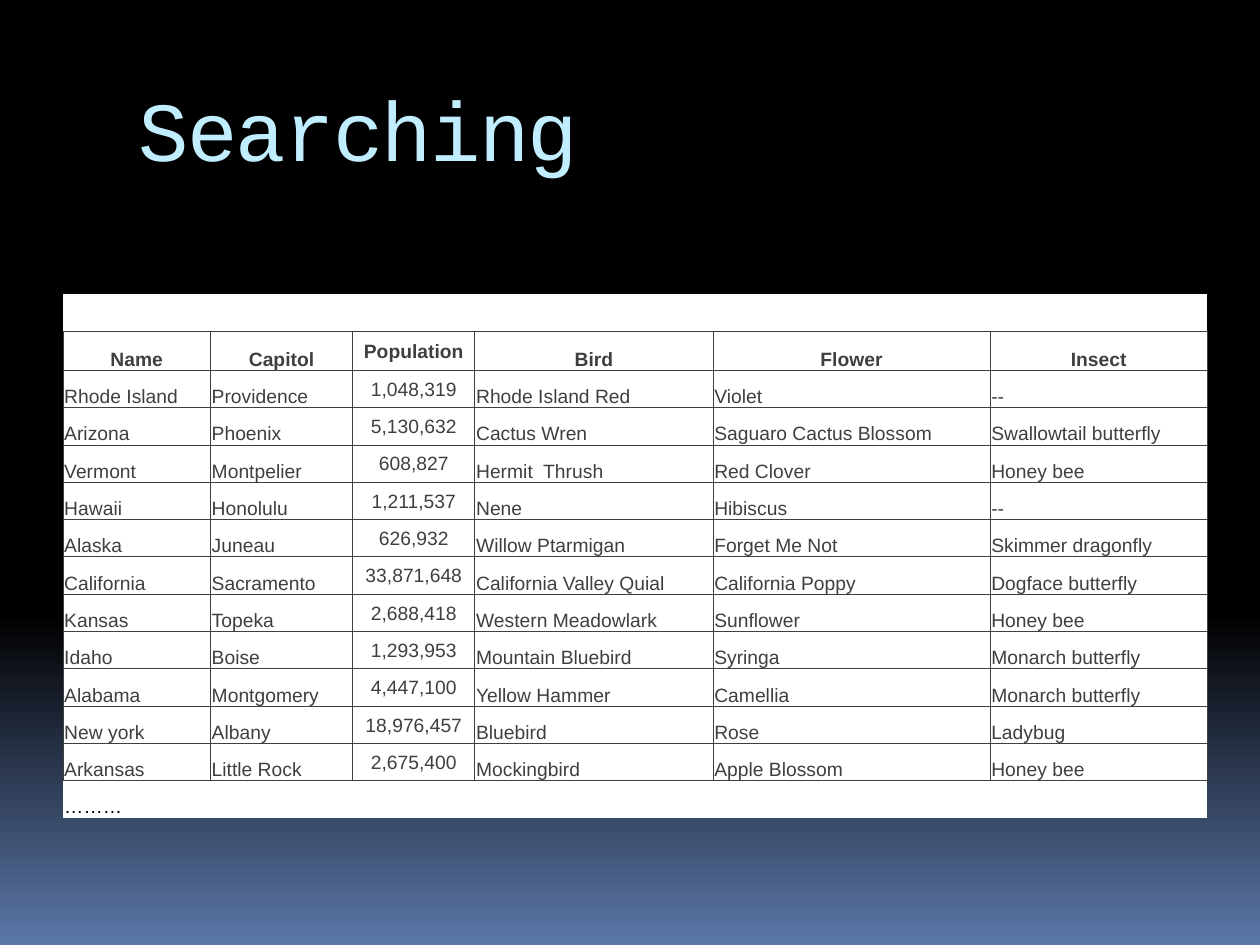
"""Builds the Searching slide with its table of state facts."""
from copy import deepcopy

from pptx import Presentation
from pptx.dml.color import RGBColor
from pptx.enum.shapes import MSO_SHAPE as Shape
from pptx.enum.text import MSO_ANCHOR as Anchor, PP_ALIGN as Align
from pptx.oxml.ns import qn
from pptx.oxml.xmlchemy import OxmlElement
from pptx.util import Pt

COLORS = {
    "black": "000000",
    "blue": "5B77A8",
    "title": "C1EEFF",
    "text": "3F3F3F",
    "white": "FFFFFF",
}
ACCENT_BARS = [(24.3, 3.6), (21, 2), (19.2, 0.7), (17.2, 0.7)]
COLUMN_WIDTHS = [84.3, 81.3, 69.8, 136.1, 158.3, 124.2]
ROW_HEIGHT = 21.34
HEADER_HEIGHT = 22.3
POPULATION = 2
ROWS = [
    [""] * 6,
    ["Name", "Capitol", "Population", "Bird", "Flower", "Insect"],
    ["Rhode Island", "Providence", "1,048,319", "Rhode Island Red", "Violet", "--"],
    ["Arizona", "Phoenix", "5,130,632", "Cactus Wren", "Saguaro Cactus Blossom", "Swallowtail butterfly"],
    ["Vermont", "Montpelier", "608,827", "Hermit  Thrush", "Red Clover", "Honey bee"],
    ["Hawaii", "Honolulu", "1,211,537", "Nene", "Hibiscus", "--"],
    ["Alaska", "Juneau", "626,932", "Willow Ptarmigan", "Forget Me Not", "Skimmer dragonfly"],
    ["California", "Sacramento", "33,871,648", "California Valley Quial", "California Poppy", "Dogface butterfly"],
    ["Kansas", "Topeka", "2,688,418", "Western Meadowlark", "Sunflower", "Honey bee"],
    ["Idaho", "Boise", "1,293,953", "Mountain Bluebird", "Syringa", "Monarch butterfly"],
    ["Alabama", "Montgomery", "4,447,100", "Yellow Hammer", "Camellia", "Monarch butterfly"],
    ["New york", "Albany", "18,976,457", "Bluebird", "Rose", "Ladybug"],
    ["Arkansas", "Little Rock", "2,675,400", "Mockingbird", "Apple Blossom", "Honey bee"],
    ["………"] + [""] * 5,
]


def write_text(frame, text, *, font, size, color, bold=False, align=Align.LEFT, spacing=0):
    paragraph = frame.paragraphs[0]
    paragraph.alignment = align
    if not text:
        end = OxmlElement("a:endParaRPr")
        end.set("sz", str(size * 100))
        paragraph._p.append(end)
        return
    run = paragraph.add_run()
    run.text = text
    run.font.name = font
    run.font.size = Pt(size)
    run.font.bold = bold
    run.font.color.rgb = RGBColor.from_string(COLORS[color])
    if spacing:
        run.font._element.set("spc", str(spacing * 100))


def set_borders(cell, visible_sides):
    properties = cell._tc.get_or_add_tcPr()
    for position, side in enumerate("LRTB"):
        line = OxmlElement(f"a:ln{side}")
        line.set("w", str(Pt(0.5)))
        if side in visible_sides:
            fill = OxmlElement("a:solidFill")
            color = OxmlElement("a:srgbClr")
            color.set("val", COLORS["text"])
            fill.append(color)
        else:
            fill = OxmlElement("a:noFill")
        line.append(fill)
        properties.insert(position, line)


presentation = Presentation()
presentation.slide_width = Pt(720)
presentation.slide_height = Pt(540)
slide = presentation.slides.add_slide(presentation.slide_layouts[5])

background = slide.background.fill
background.gradient()
background.gradient_angle = 270
stop_list = slide._element.find(".//" + qn("a:gsLst"))
stop_list.insert(1, deepcopy(stop_list[0]))
stops = [(0, "black"), (0.65, "black"), (1, "blue")]
for stop, (position, color) in zip(background.gradient_stops, stops):
    stop.position = position
    stop.color.rgb = RGBColor.from_string(COLORS[color])

for left, width in ACCENT_BARS:
    bar = slide.shapes.add_shape(Shape.RECTANGLE, Pt(left), Pt(53.5), Pt(width), Pt(28.8))
    bar.shadow.inherit = False
    bar.fill.solid()
    bar.fill.fore_color.rgb = RGBColor.from_string(COLORS["black"])
    bar.line.fill.background()

title = slide.shapes.title
title.left, title.top, title.width, title.height = Pt(72), Pt(40.3), Pt(612), Pt(72)
title.text_frame.vertical_anchor = Anchor.MIDDLE
title.text_frame.margin_bottom = Pt(10.4)
write_text(title.text_frame, "Searching", font="Courier New", size=48, color="title", spacing=-1)

last_row = len(ROWS) - 1
table_height = ROW_HEIGHT * last_row + HEADER_HEIGHT
table = slide.shapes.add_table(
    len(ROWS), len(COLUMN_WIDTHS), Pt(36), Pt(168), Pt(sum(COLUMN_WIDTHS)), Pt(table_height)
).table
table.first_row = False
table.horz_banding = False
for column, width in zip(table.columns, COLUMN_WIDTHS):
    column.width = Pt(width)

for row_index, row in enumerate(ROWS):
    is_header = row_index == 1
    table.rows[row_index].height = Pt(HEADER_HEIGHT if is_header else ROW_HEIGHT)
    visible_sides = {0: "B", last_row: "T"}.get(row_index, "LRTB")
    for column_index, text in enumerate(row):
        cell = table.cell(row_index, column_index)
        is_population = column_index == POPULATION
        cell.margin_left = cell.margin_right = cell.margin_top = Pt(0.72)
        cell.margin_bottom = 0
        cell.vertical_anchor = Anchor.MIDDLE if is_population else Anchor.BOTTOM
        cell.fill.solid()
        cell.fill.fore_color.rgb = RGBColor.from_string(COLORS["white"])
        set_borders(cell, visible_sides)
        write_text(
            cell.text_frame,
            text,
            font="Arial",
            size=11,
            color="black" if row_index == last_row else "text",
            bold=is_header,
            align=Align.CENTER if is_header or is_population else Align.LEFT,
        )

presentation.save("out.pptx")
